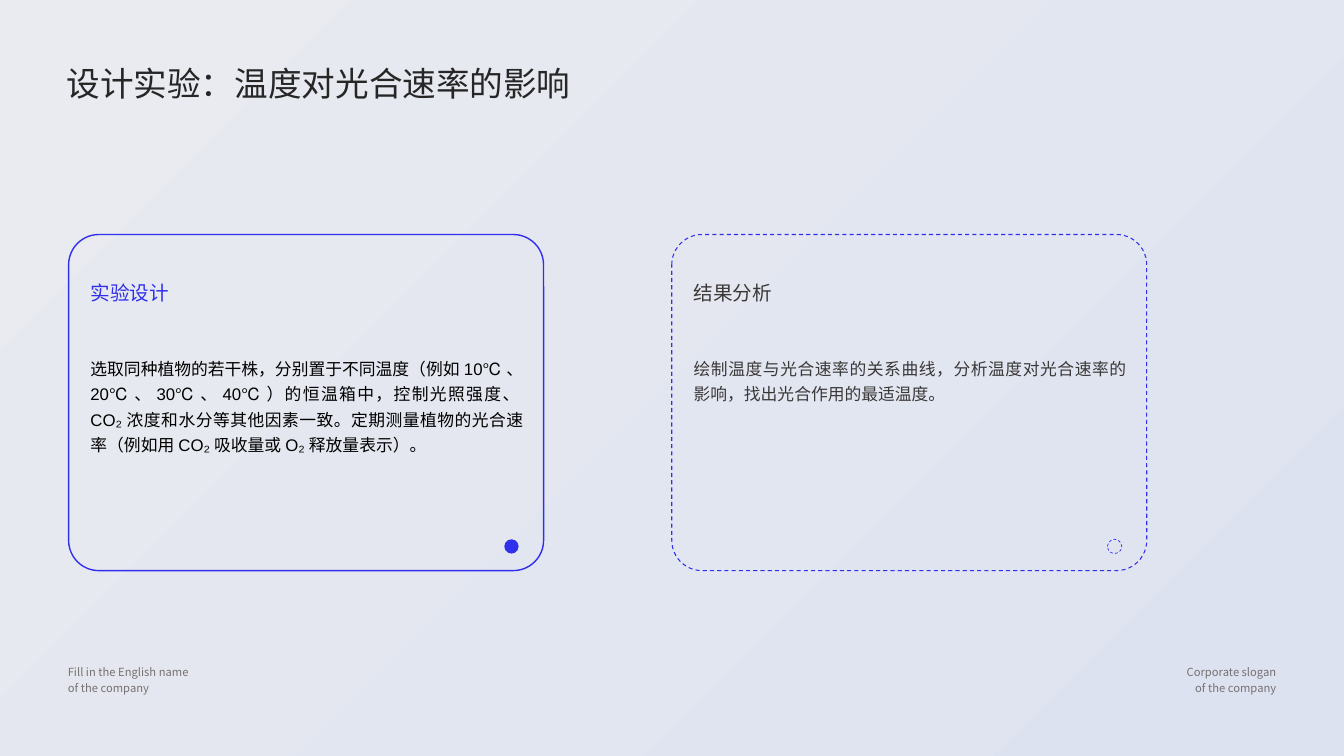
from dataclasses import dataclass

from lxml import etree
from pptx import Presentation
from pptx.dml.color import RGBColor
from pptx.enum.dml import MSO_LINE
from pptx.enum.shapes import MSO_SHAPE
from pptx.enum.text import MSO_ANCHOR, MSO_AUTO_SIZE, PP_ALIGN
from pptx.oxml.ns import qn
from pptx.util import Cm, Pt

RECTANGLE, ROUNDED, OVAL = MSO_SHAPE.RECTANGLE, MSO_SHAPE.ROUNDED_RECTANGLE, MSO_SHAPE.OVAL
DASH = MSO_LINE.DASH
LEFT, RIGHT, JUSTIFY = PP_ALIGN.LEFT, PP_ALIGN.RIGHT, PP_ALIGN.JUSTIFY
TOP, BOTTOM = MSO_ANCHOR.TOP, MSO_ANCHOR.BOTTOM
GROW = MSO_AUTO_SIZE.SHAPE_TO_FIT_TEXT


@dataclass(frozen=True)
class Theme:
    accent: str = "2F2FEC"
    title: str = "262626"
    dark: str = "3B3838"
    black: str = "000000"
    muted: str = "767171"
    backdrop: tuple = ("EAEBF0", "DDE2F1")
    cjk: str = "Noto Sans CJK SC"
    latin: str = "Arial"
    title_size: int = 24
    heading_size: int = 14
    body_size: int = 12
    footer_size: int = 8


def write_text(frame, text, *, size, color, font, cjk, align=LEFT, spacing=None):
    for index, line in enumerate(text.split("\n")):
        paragraph = frame.paragraphs[0] if index == 0 else frame.add_paragraph()
        paragraph.alignment = align
        if spacing:
            paragraph.line_spacing = spacing
        run = paragraph.add_run()
        run.text = line
        run.font.size = Pt(size)
        run.font.name = font
        run.font.color.rgb = RGBColor.from_string(color)
        etree.SubElement(run.font._element, qn("a:ea"), typeface=cjk)


class SlideBuilder:
    def __init__(self, slide, theme):
        self.slide = slide
        self.theme = theme

    def shape(self, kind, left, top, width, height, fill=None, line_width=None, dash=None):
        shape = self.slide.shapes.add_shape(kind, Cm(left), Cm(top), Cm(width), Cm(height))
        shape.shadow.inherit = False
        if fill:
            shape.fill.solid()
            shape.fill.fore_color.rgb = RGBColor.from_string(fill)
        else:
            shape.fill.background()
        if line_width:
            shape.line.color.rgb = RGBColor.from_string(self.theme.accent)
            shape.line.width = Pt(line_width)
            if dash:
                shape.line.dash_style = dash
        else:
            shape.line.fill.background()
        return shape

    def backdrop(self, width, height):
        fill = self.shape(RECTANGLE, 0, 0, width, height).fill
        fill.gradient()
        fill.gradient_angle = 315
        for stop, color in zip(fill.gradient_stops, self.theme.backdrop):
            stop.color.rgb = RGBColor.from_string(color)

    def text(self, text, left, top, width, height, *, wrap=True, anchor=TOP, font=None, **style):
        box = self.slide.shapes.add_textbox(Cm(left), Cm(top), Cm(width), Cm(height))
        frame = box.text_frame
        frame.margin_left = frame.margin_right = frame.margin_top = frame.margin_bottom = 0
        frame.word_wrap = wrap
        frame.auto_size = GROW
        frame.vertical_anchor = anchor
        write_text(frame, text, font=font or self.theme.cjk, cjk=self.theme.cjk, **style)

    def footer(self, text, left, width, align):
        self.text(text, left, 16.69, width, 0.81, wrap=False, align=align, spacing=1.2,
                  size=self.theme.footer_size, color=self.theme.muted)

    def card(self, left, heading, body, heading_color, body_color, line_width, dot):
        theme = self.theme
        outline = self.shape(ROUNDED, left, 5.91, 11.97, 8.47,
                             line_width=line_width, dash=dot.get("dash"))
        outline.adjustments[0] = 0.09
        self.text(heading, left + 0.55, 6.93, 9.49, 1.42, spacing=1.25,
                  size=theme.heading_size, color=heading_color)
        self.text(body, left + 0.55, 8.92, 10.92, 1.85, spacing=1.25, align=JUSTIFY,
                  size=theme.body_size, color=body_color, font=theme.latin)
        self.shape(OVAL, left + 10.98, 13.59, 0.36, 0.36, **dot)


def main():
    theme = Theme()
    presentation = Presentation()
    presentation.slide_width, presentation.slide_height = Cm(33.87), Cm(19.05)
    builder = SlideBuilder(presentation.slides.add_slide(presentation.slide_layouts[6]), theme)

    builder.backdrop(33.87, 19.05)
    builder.footer("Fill in the English name\nof the company", 1.71, 3.23, LEFT)
    builder.footer("Corporate slogan\nof the company", 29.81, 2.36, RIGHT)

    cards = [
        ("实验设计",
         "选取同种植物的若干株，分别置于不同温度（例如10℃、20℃、30℃、40℃）的恒温箱中，"
         "控制光照强度、CO₂浓度和水分等其他因素一致。"
         "定期测量植物的光合速率（例如用CO₂吸收量或O₂释放量表示）。",
         theme.accent, theme.black, 1, {"fill": theme.accent}),
        ("结果分析",
         "绘制温度与光合速率的关系曲线，分析温度对光合速率的影响，找出光合作用的最适温度。",
         theme.dark, theme.dark, 0.75, {"line_width": 0.5, "dash": DASH}),
    ]
    for column, card in enumerate(cards):
        builder.card(1.73 + 15.2 * column, *card)

    builder.text("设计实验：温度对光合速率的影响", 1.68, 1.57, 30.5, 1.02, anchor=BOTTOM,
                 size=theme.title_size, color=theme.title)
    presentation.save("out.pptx")


if __name__ == "__main__":
    main()
